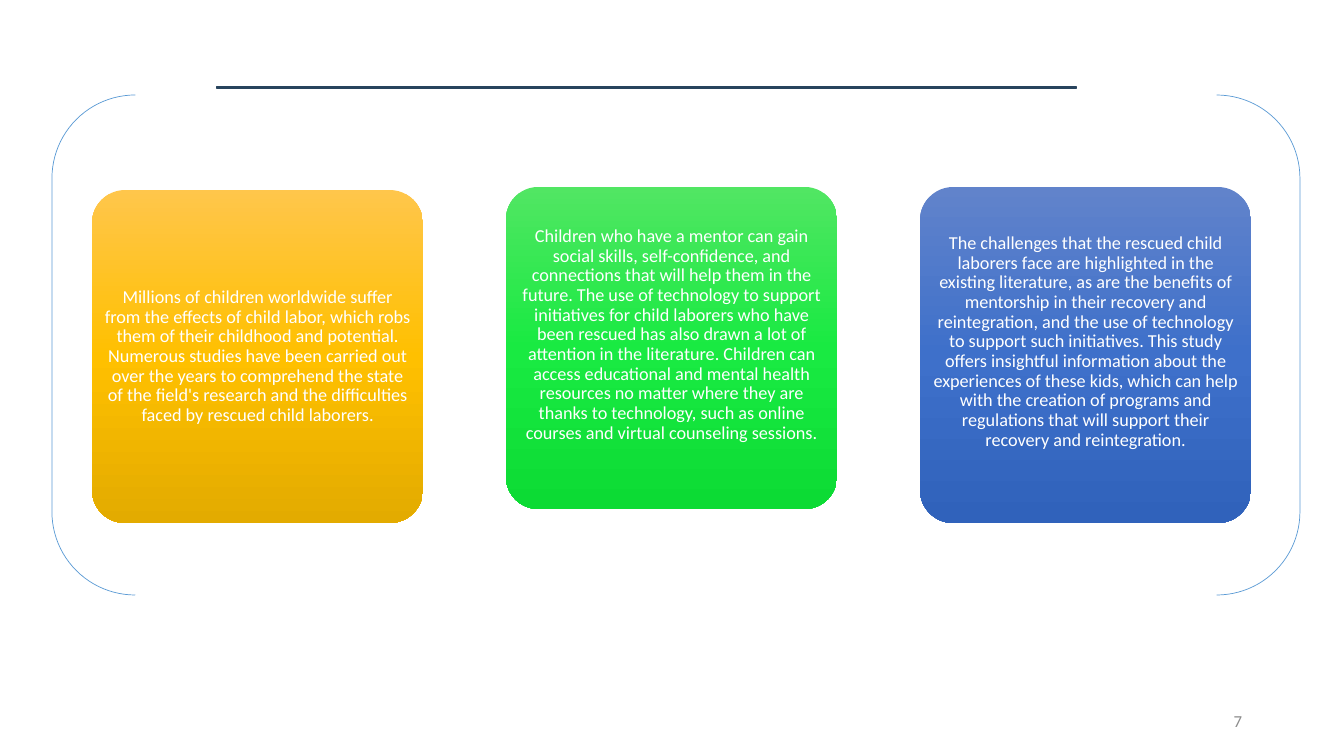
import copy

import pptx
import pptx.dml.color
import pptx.enum.shapes
import pptx.enum.text
import pptx.util

PX = 914400 / 100.8
SHAPES = pptx.enum.shapes.MSO_SHAPE
ALIGN = pptx.enum.text.PP_ALIGN
MIDDLE = pptx.enum.text.MSO_ANCHOR.MIDDLE
FONT = "Calibri"

COLORS = {
    "bracket": "5B9BD5",
    "rule_outline": "28445D",
    "card_text": "FFFFFF",
    "page_number": "8C8C8C",
}
GRADIENTS = {
    "amber": ("FFC64B", "FFC000", "E3AB00"),
    "green": ("51E663", "19EA42", "0CDB34"),
    "blue": ("6183CB", "3E70CA", "3062BB"),
}

# gradient, top, height, bottom margin, text
CARDS = [
    ("amber", 190, 333, 2,
     "Millions of children worldwide suffer from the effects of child labor, "
     "which robs them of their childhood and potential. Numerous studies have "
     "been carried out over the years to comprehend the state of the field's "
     "research and the difficulties faced by rescued child laborers."),
    ("green", 187, 322, 28,
     "Children who have a mentor can gain social skills, self-confidence, and "
     "connections that will help them in the future. The use of technology to "
     "support initiatives for child laborers who have been rescued has also "
     "drawn a lot of attention in the literature. Children can access "
     "educational and mental health resources no matter where they are thanks "
     "to technology, such as online courses and virtual counseling sessions."),
    ("blue", 187, 336, 28,
     "The challenges that the rescued child laborers face are highlighted in "
     "the existing literature, as are the benefits of mentorship in their "
     "recovery and reintegration, and the use of technology to support such "
     "initiatives. This study offers insightful information about the "
     "experiences of these kids, which can help with the creation of programs "
     "and regulations that will support their recovery and reintegration."),
]


def px(length):
    return pptx.util.Emu(round(length * PX))


def rgb(value):
    return pptx.dml.color.RGBColor.from_string(value)


def add_preset(slide, kind, box):
    shape = slide.shapes.add_shape(kind, *map(px, box))
    shape.shadow.inherit = False
    return shape


def outline(shape, color, points):
    shape.line.color.rgb = rgb(color)
    shape.line.width = pptx.util.Pt(points)


def write(frame, text, size, color, alignment):
    frame.word_wrap = True
    frame.vertical_anchor = MIDDLE
    paragraph = frame.paragraphs[0]
    paragraph.text = text
    paragraph.alignment = alignment
    paragraph.font.name = FONT
    paragraph.font.size = pptx.util.Pt(size)
    paragraph.font.color.rgb = rgb(color)
    return paragraph


def fill_gradient(shape, colors):
    """Fill from top to bottom with evenly spaced colours."""
    shape.fill.gradient()
    shape.fill.gradient_angle = 270
    stop_list = shape.fill._xPr.find(".//" + pptx.oxml.ns.qn("a:gsLst"))
    stop_list.append(copy.deepcopy(stop_list[-1]))
    for index, (stop, color) in enumerate(zip(shape.fill.gradient_stops, colors)):
        stop.position = index / (len(colors) - 1)
        stop.color.rgb = rgb(color)


def add_card(slide, box, gradient, bottom_margin, text):
    card = add_preset(slide, SHAPES.ROUNDED_RECTANGLE, box)
    card.adjustments[0] = 0.1
    fill_gradient(card, GRADIENTS[gradient])
    card.line.fill.background()
    frame = card.text_frame
    frame.margin_left = frame.margin_right = px(3)
    frame.margin_top = px(2)
    frame.margin_bottom = px(bottom_margin)
    paragraph = write(frame, text, 13, COLORS["card_text"], ALIGN.CENTER)
    paragraph.line_spacing = 0.9


def add_card_row(slide, left, width, pitch):
    for index, (gradient, top, height, bottom_margin, text) in enumerate(CARDS):
        box = (left + index * pitch, top, width, height)
        add_card(slide, box, gradient, bottom_margin, text)


def add_page_number(slide, box, number):
    text_box = slide.shapes.add_textbox(*map(px, box))
    write(text_box.text_frame, number, 12, COLORS["page_number"], ALIGN.RIGHT)


def add_frame(slide, box):
    """Brackets around the cards, with a rule along the top."""
    left, top, width, _ = box
    brackets = add_preset(slide, SHAPES.DOUBLE_BRACKET, box)
    brackets.fill.background()
    outline(brackets, COLORS["bracket"], 0.5)
    rule = add_preset(slide, SHAPES.MATH_MINUS, (left + 9, top - 10, width - 77, 5))
    rule.fill.solid()
    rule.fill.fore_color.rgb = rgb(COLORS["bracket"])
    outline(rule, COLORS["rule_outline"], 1)


def main():
    presentation = pptx.Presentation()
    presentation.slide_width = px(1344)
    presentation.slide_height = px(756)
    slide = presentation.slides.add_slide(presentation.slide_layouts[6])
    add_card_row(slide, left=92, width=331, pitch=414)
    add_page_number(slide, (950, 701, 302, 40), "7")
    add_frame(slide, (52, 95, 1248, 500))
    presentation.save("out.pptx")


if __name__ == "__main__":
    main()
